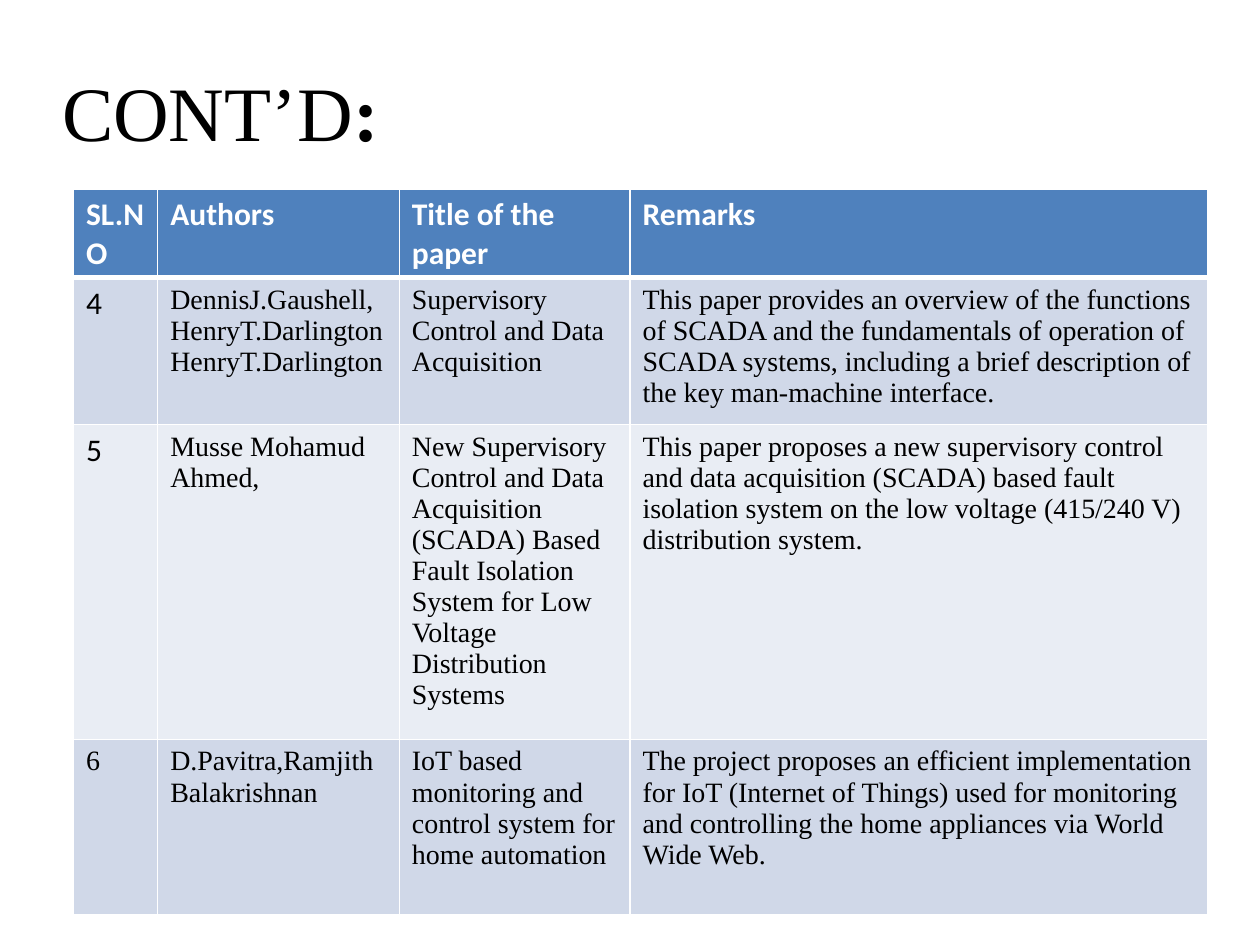
from dataclasses import dataclass

from lxml import etree
from pptx import Presentation
from pptx import util as u
from pptx.dml.color import RGBColor
from pptx.enum import text
from pptx.oxml.ns import qn


@dataclass(frozen=True)
class Theme:
    ink: str = "000000"
    white: str = "FFFFFF"
    header: str = "4F81BD"
    bands: tuple = ("D0D8E8", "E9EDF4")
    serif: str = "Times New Roman"
    sans: str = "Calibri"
    title_size: int = 44
    large_size: int = 18
    body_size: int = 16


theme = Theme()


def style_span(span, font, size, color, bold=False):
    span.font.name = font
    span.font.size = u.Pt(size)
    span.font.color.rgb = RGBColor.from_string(color)
    span.font.bold = bold


def add_border(cell, side, points):
    properties = cell._tc.get_or_add_tcPr()
    line = etree.SubElement(properties, qn(f"a:ln{side}"), w=str(u.Pt(points)))
    fill = etree.SubElement(line, qn("a:solidFill"))
    etree.SubElement(fill, qn("a:srgbClr"), val=theme.white)


deck = Presentation()
deck.slide_width, deck.slide_height = u.Cm(25.4), u.Cm(19.05)
page = deck.slides.add_slide(deck.slide_layouts[6])

# Title
box = page.shapes.add_textbox(u.Cm(-1.27), u.Cm(0.64), u.Cm(11.43), u.Cm(3.18))
frame = box.text_frame
frame.word_wrap = True
frame.vertical_anchor = text.MSO_ANCHOR.MIDDLE
para = frame.paragraphs[0]
para.alignment = text.PP_ALIGN.CENTER
for words, bold in (("CONT’D", False), (":", True)):
    span = para.add_run()
    span.text = words
    style_span(span, theme.serif, theme.title_size, theme.ink, bold)

# Literature table
papers = [
    ("SL.NO", "Authors", "Title of the paper", "Remarks"),
    ("4",
     "DennisJ.Gaushell,\vHenryT.Darlington\vHenryT.Darlington",
     "Supervisory Control and Data Acquisition",
     "This paper provides an overview of the functions of SCADA and the "
     "fundamentals of operation of SCADA systems, including a brief "
     "description of the key man-machine interface."),
    ("5",
     "Musse Mohamud Ahmed,",
     "New Supervisory Control and Data Acquisition\n"
     "(SCADA) Based Fault Isolation System for Low\n"
     "Voltage Distribution Systems",
     "This paper proposes a new supervisory control and data acquisition "
     "(SCADA) based fault isolation system on the low voltage (415/240 V) "
     "distribution system."),
    ("6",
     "D.Pavitra,Ramjith Balakrishnan",
     "IoT based monitoring and control system for home automation",
     "The project proposes an efficient implementation for IoT (Internet of "
     "Things) used for monitoring and controlling the home appliances via "
     "World Wide Web."),
]
column_widths = (1.7, 4.87, 4.65, 11.64)
row_heights = (1.77, 2.91, 5.9, 3.53)

table = page.shapes.add_table(
    len(papers), len(column_widths), u.Cm(1.48), u.Cm(3.82),
    u.Cm(sum(column_widths)), u.Cm(sum(row_heights))).table
for column, width in zip(table.columns, column_widths):
    column.width = u.Cm(width)
for row, height in zip(table.rows, row_heights):
    row.height = u.Cm(height)

for row_index, paper in enumerate(papers):
    is_header = row_index == 0
    for column_index, words in enumerate(paper):
        cell = table.cell(row_index, column_index)
        for side in "LRTB":
            under_header = (row_index, side) in ((0, "B"), (1, "T"))
            add_border(cell, side, 3 if under_header else 1)
        cell.fill.solid()
        cell.fill.fore_color.rgb = RGBColor.from_string(
            theme.header if is_header else theme.bands[(row_index - 1) % 2])

        cell.text_frame.text = words
        is_large = is_header or (column_index == 0 and words in ("4", "5"))
        font = theme.sans if is_large else theme.serif
        size = theme.large_size if is_large else theme.body_size
        color = theme.white if is_header else theme.ink
        for para in cell.text_frame.paragraphs:
            for span in para.runs:
                style_span(span, font, size, color, is_header)

deck.save("out.pptx")
